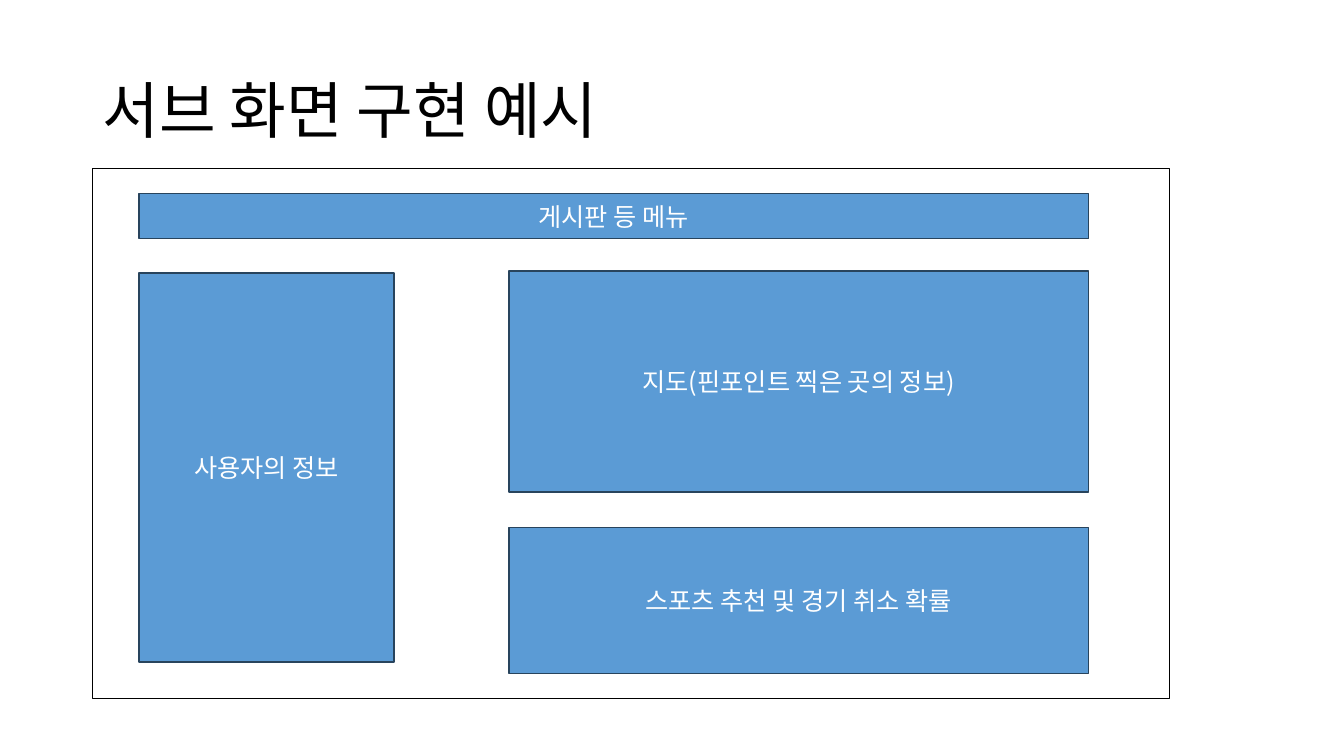
from dataclasses import dataclass

from lxml import etree
from pptx import Presentation
from pptx.dml.color import RGBColor
from pptx.enum import shapes, text
from pptx.oxml import ns
from pptx.util import Pt

FONT = "Noto Sans CJK KR"
BLACK = RGBColor(0x00, 0x00, 0x00)
WHITE = RGBColor(0xFF, 0xFF, 0xFF)
BLUE = RGBColor(0x5B, 0x9B, 0xD5)
NAVY = RGBColor(0x28, 0x44, 0x5D)

# Shared edges of the mock screen
LEFT, MID, RIGHT = 99.4, 363.6, 777.4


@dataclass
class Box:
    label: str
    x: float
    y: float
    w: float
    h: float
    fill: RGBColor = BLUE
    line: RGBColor = NAVY


BOXES = [
    Box("", 66.2, 120.2, 769, 378.7, WHITE, BLACK),
    Box("지도(핀포인트 찍은 곳의 정보)", MID, 193.7, RIGHT - MID, 157.7),
    Box("스포츠 추천 및 경기 취소 확률", MID, 376.6, RIGHT - MID, 104.4),
    Box("게시판 등 메뉴", LEFT, 138.2, RIGHT - LEFT, 32.4),
    Box("사용자의 정보", LEFT, 195.1, 182.2, 277.9),
]


def write(frame, label: str, size: float, color: RGBColor, align) -> None:
    """Fill a text frame with one styled line, centred vertically."""
    frame.text = label
    frame.word_wrap = True
    frame.vertical_anchor = text.MSO_ANCHOR.MIDDLE
    para = frame.paragraphs[0]
    para.alignment = align
    font = para.runs[0].font
    font.size = Pt(size)
    font.name = FONT
    font.color.rgb = color
    # Korean glyphs take the East Asian font
    east = etree.SubElement(font._element, ns.qn("a:ea"))
    east.set("typeface", FONT)


def draw(group, box: Box) -> None:
    """Add one rectangle of the mock screen."""
    rect = group.shapes.add_shape(
        shapes.MSO_SHAPE.RECTANGLE, Pt(box.x), Pt(box.y), Pt(box.w), Pt(box.h))
    rect.shadow.inherit = False
    rect.fill.solid()
    rect.fill.fore_color.rgb = box.fill
    rect.line.color.rgb = box.line
    rect.line.width = Pt(1)
    if box.label:
        write(rect.text_frame, box.label, 18, WHITE, text.PP_ALIGN.CENTER)


def main() -> None:
    deck = Presentation()
    deck.slide_width, deck.slide_height = Pt(960), Pt(540)
    slide = deck.slides.add_slide(deck.slide_layouts[5])

    # Title
    title = slide.shapes.title
    title.left, title.top = Pt(66.2), Pt(28.8)
    title.width, title.height = Pt(828), Pt(104.4)
    write(title.text_frame, "서브 화면 구현 예시", 44, BLACK, text.PP_ALIGN.LEFT)
    title.text_frame.paragraphs[0].line_spacing = 0.9

    # Mock screen
    screen = slide.shapes.add_group_shape()
    for box in BOXES:
        draw(screen, box)

    deck.save("out.pptx")


if __name__ == "__main__":
    main()
